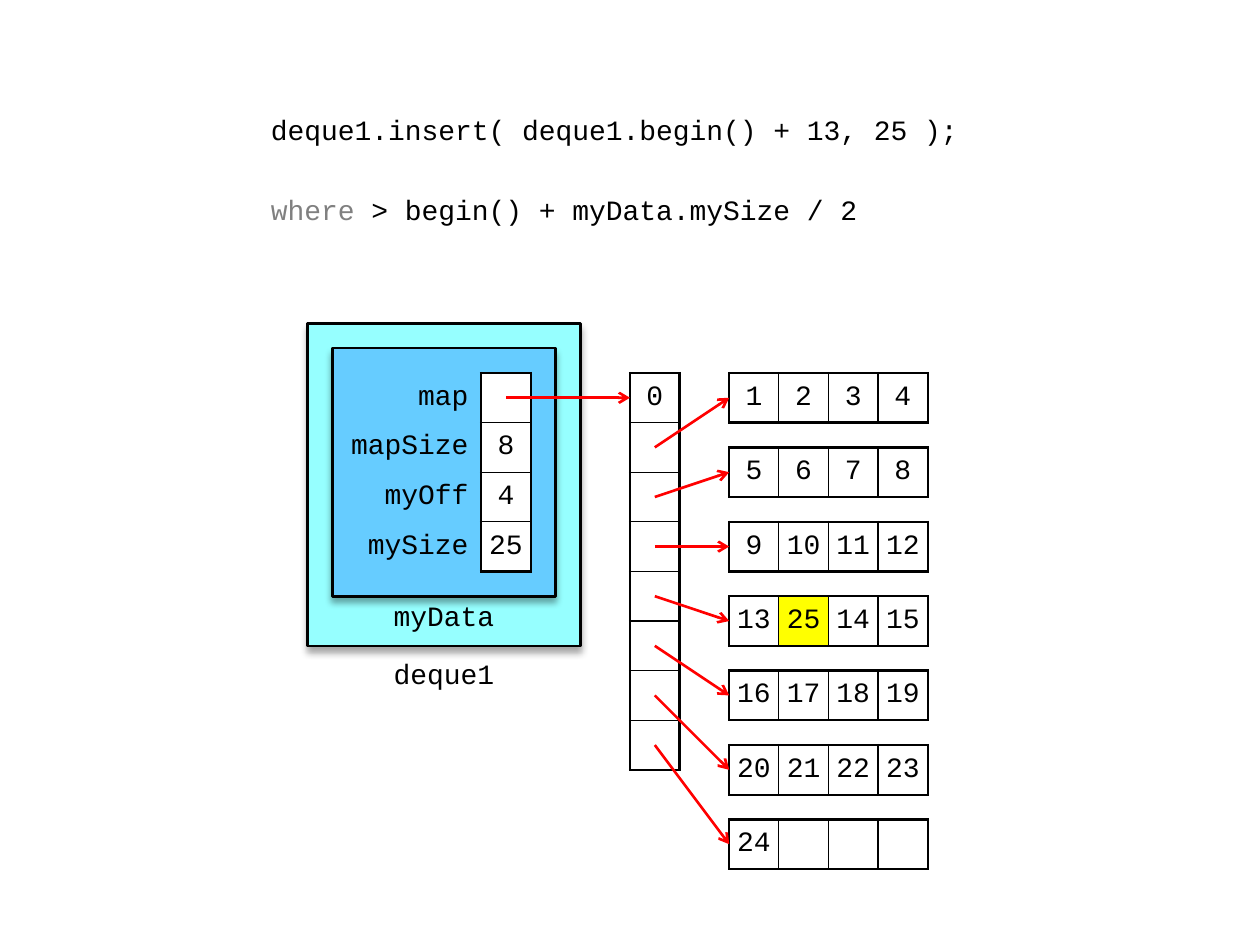
import pptx
import pptx.dml.color
import pptx.enum.shapes
import pptx.enum.text
import pptx.util
import pptx.oxml
import pptx.oxml.ns
import lxml.etree

Inches = pptx.util.Inches
Pt = pptx.util.Pt
ALIGN = pptx.enum.text.PP_ALIGN
MIDDLE = pptx.enum.text.MSO_ANCHOR.MIDDLE
CELL = Inches(3.15) // 8
STEP = CELL * 3 // 2
TOP = Inches(2.96)
THICK, THIN = 1.5, 0.75


def hue(code):
    """Turn a hex string into a colour."""
    return pptx.dml.color.RGBColor.from_string(code)


def node(root, tag, **attrs):
    """Append a drawing element and return it."""
    item = lxml.etree.SubElement(root, pptx.oxml.ns.qn(tag))
    for key, value in attrs.items():
        item.set(key, str(value))
    return item


def write(para, text, align=ALIGN.CENTER, code="000000"):
    """Add one run of code text to a paragraph."""
    para.alignment = align
    run = para.add_run()
    run.text = text
    run.font.name = "Courier New"
    run.font.size = Pt(16)
    run.font.color.rgb = hue(code)


def inset(item, side, top, base):
    """Set the margins of a cell or text frame."""
    item.margin_left = item.margin_right = Inches(side)
    item.margin_top, item.margin_bottom = Inches(top), Inches(base)


def edge(cell, sides):
    """Draw the left, right, top and bottom borders of a cell."""
    props = cell._tc.get_or_add_tcPr()
    for name, width in zip("LRTB", sides):
        line = node(props, "a:ln" + name, w=Pt(width))
        if width:
            node(node(line, "a:solidFill"), "a:srgbClr", val="000000")
        else:
            node(line, "a:noFill")


def grid(slide, left, top, rows, labels=False, mark=None):
    """Place a table of square cells, with an optional wide label column."""
    high, wide = len(rows), len(rows[0])
    widths = [CELL] * wide
    if labels:
        widths[0] = CELL * 3
    frame = slide.shapes.add_table(high, wide, left, top, sum(widths), CELL * high)
    table = frame.table
    table.first_row = table.horz_banding = False
    for col, width in zip(table.columns, widths):
        col.width = width
    for r, row in enumerate(rows):
        for c, text in enumerate(row):
            cell = table.cell(r, c)
            label = labels and c == 0
            first = c == 0 or labels
            sides = [THICK if end else THIN for end in
                     (first, c == wide - 1, r == 0, r == high - 1)]
            edge(cell, (0, THICK, 0, 0) if label else sides)
            inset(cell, 0.1 if label else 0.04, 0.04, 0.04)
            cell.vertical_anchor = MIDDLE
            if label:
                cell.fill.background()
            else:
                cell.fill.solid()
                cell.fill.fore_color.rgb = hue("FFFF00" if text == mark else "FFFFFF")
            if text:
                write(cell.text_frame.paragraphs[0], text,
                      ALIGN.RIGHT if label else ALIGN.CENTER)


def arrow(slide, x1, y1, x2, y2):
    """Draw a red pointer with an open head."""
    line = slide.shapes.add_connector(
        pptx.enum.shapes.MSO_CONNECTOR.STRAIGHT, x1, y1, x2, y2)
    line.line.color.rgb = hue("FF0000")
    line.line.width = Pt(THICK)
    node(line.line._get_or_add_ln(), "a:tailEnd", type="arrow")
    node(line._element.spPr, "a:effectLst")


def panel(slide, left, top, width, height, code):
    """Draw a filled box with a soft shadow below it."""
    shape = slide.shapes.add_shape(
        pptx.enum.shapes.MSO_SHAPE.FLOWCHART_PROCESS, left, top, width, height)
    shape.fill.solid()
    shape.fill.fore_color.rgb = hue(code)
    shape.line.color.rgb = hue("000000")
    shape.line.width = Pt(THICK)
    cast = node(node(shape._element.spPr, "a:effectLst"), "a:outerShdw",
                blurRad=Pt(4), dist=Pt(3), dir=5400000, rotWithShape=0)
    node(node(cast, "a:srgbClr", val="000000"), "a:alpha", val=35000)


def label(slide, left, top, width, text, pad, anchor):
    """Place a centred caption one cell high."""
    frame = slide.shapes.add_textbox(left, top, width, CELL).text_frame
    frame.word_wrap = True
    frame.vertical_anchor = anchor
    inset(frame, 0.08, pad, 0)
    write(frame.paragraphs[0], text)


def code(slide, left, top, width, height):
    """Fill the body placeholder with the call and its condition."""
    body = slide.placeholders[1]
    body.left, body.top, body.width, body.height = left, top, width, height
    frame = body.text_frame
    frame.auto_size = pptx.enum.text.MSO_AUTO_SIZE.NONE
    frame.word_wrap = True
    frame.vertical_anchor = pptx.enum.text.MSO_ANCHOR.TOP
    inset(frame, 0.1, 0.09, 0.05)
    lines = (
        (("deque1.insert( deque1.begin() + 13, 25 );", "000000"),),
        (("where ", "808080"), ("> begin() + myData.mySize / 2", "000000")),
    )
    for i, runs in enumerate(lines):
        para = frame.add_paragraph() if i else frame.paragraphs[0]
        props = para._p.get_or_add_pPr()
        props.set("marL", "0")
        props.set("indent", "0")
        node(props, "a:buNone")
        para.space_before = Pt(26.5 * i)
        for text, shade in runs:
            write(para, text, ALIGN.LEFT, shade)


def deque(slide, left, top):
    """Draw the deque object with its nested data and fields."""
    half = CELL // 2
    panel(slide, left, top - CELL, CELL * 11 // 2, CELL * 13 // 2, "96FFFF")
    panel(slide, left + half, top - half, CELL * 9 // 2, CELL * 5, "66CCFF")
    label(slide, left + CELL, top + CELL * 11 // 2, CELL * 7 // 2,
          "deque1", 0.04, MIDDLE)
    label(slide, left + half * 3, top + CELL * 9 // 2, CELL * 5 // 2,
          "myData", 0.02, pptx.enum.text.MSO_ANCHOR.TOP)
    fields = [("map", ""), ("mapSize", "8"), ("myOff", "4"), ("mySize", "25")]
    grid(slide, left + half, top, fields, labels=True)


def blocks(slide, left, top):
    """Draw the map column, its blocks and the pointers between them."""
    half = CELL // 2
    right = left + CELL * 2
    grid(slide, left, top, [("0",)] + [("",)] * 7)
    values = [str(n) for n in range(1, 25)]
    values.insert(13, "25")
    values += [""] * 3
    for i in range(7):
        y = top + STEP * i
        grid(slide, right, y, [values[i * 4:i * 4 + 4]], mark="25")
        arrow(slide, left + half, top + CELL * (i + 1) + half, right, y + half)


def main():
    """Build and save the slide."""
    deck = pptx.Presentation()
    deck.slide_width, deck.slide_height = Inches(10), Inches(7.5)
    slide = deck.slides.add_slide(deck.slide_layouts[1])
    title = slide.shapes.title._element
    title.getparent().remove(title)
    code(slide, Inches(2.05), Inches(0.8), Inches(5.91), Inches(0.98))
    deque(slide, Inches(2.44), TOP)
    blocks(slide, Inches(5), TOP)
    mid = TOP + CELL // 2
    arrow(slide, Inches(4.02), mid, Inches(5), mid)
    deck.save("out.pptx")


if __name__ == "__main__":
    main()
